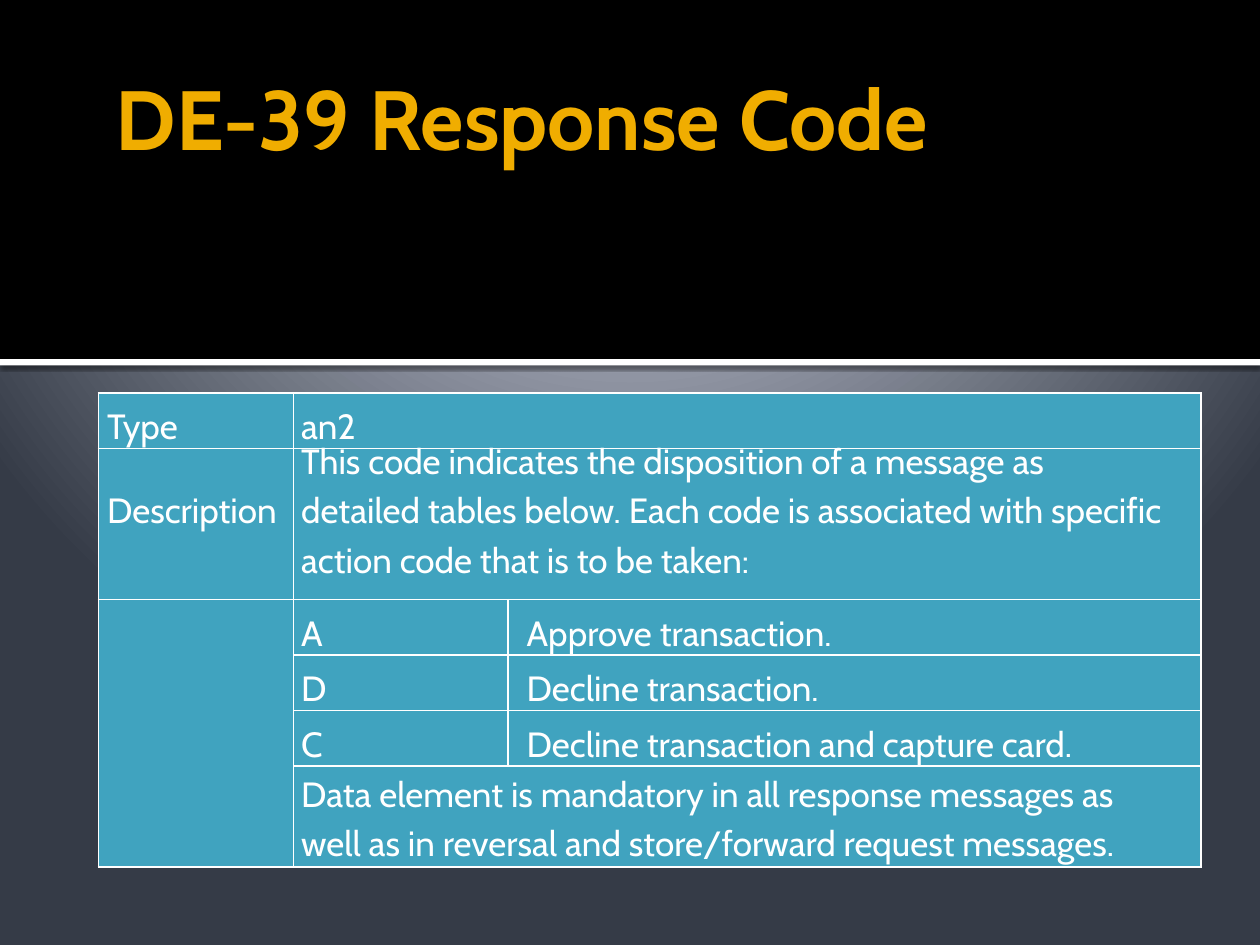
from dataclasses import dataclass

from lxml import etree
from pptx import Presentation
from pptx.dml.color import RGBColor
from pptx.enum.shapes import MSO_SHAPE
from pptx.enum.text import MSO_ANCHOR, PP_ALIGN
from pptx.oxml import parse_xml
from pptx.oxml.ns import nsdecls, qn
from pptx.util import Inches, Pt

RECTANGLE = MSO_SHAPE.RECTANGLE
BOTTOM, MIDDLE = MSO_ANCHOR.BOTTOM, MSO_ANCHOR.MIDDLE
LEFT = PP_ALIGN.LEFT
TITLE_ONLY = 5


@dataclass(frozen=True)
class Theme:
    font: str = "Cabin"
    title_size: int = 48
    body_size: int = 20
    title: str = "F0AD00"
    text: str = "FFFFFF"
    band: str = "000000"
    rule: str = "FFFFFF"
    cell: str = "40A3BF"
    border: str = "FFFFFF"
    border_width: float = 1
    glow: tuple = ((0, "C1C5D3"), (12, "C1C5D3"), (20, "BFC4D2"), (100, "353B47"))


class SlideBuilder:
    def __init__(self, slide, theme):
        self.slide = slide
        self.theme = theme

    def style(self, paragraph, size, color, bold=False):
        paragraph.alignment = LEFT
        font = paragraph.font
        font.name = self.theme.font
        font.size = Pt(size)
        font.bold = bold
        font.color.rgb = RGBColor.from_string(color)

    def background(self):
        """Fill the slide with a radial gradient centred above its top edge."""
        fill = self.slide.background.fill
        fill.gradient()
        gradient = self.slide.element.find(".//" + qn("a:gradFill"))
        stops = "".join(
            f'<a:gs pos="{position * 1000}"><a:srgbClr val="{color}"/></a:gs>'
            for position, color in self.theme.glow
        )
        radial = parse_xml(
            f'<a:gradFill {nsdecls("a")} rotWithShape="1"><a:gsLst>{stops}</a:gsLst>'
            '<a:path path="circle"><a:fillToRect l="10000" t="-25000" r="10000" b="125000"/>'
            "</a:path></a:gradFill>"
        )
        gradient.getparent().replace(gradient, radial)

    def band(self, top, height, color, shadow=False):
        band = self.slide.shapes.add_shape(
            RECTANGLE, 0, Inches(top), Inches(10), Inches(height)
        )
        band.fill.solid()
        band.fill.fore_color.rgb = RGBColor.from_string(color)
        band.line.fill.background()
        band.shadow.inherit = False
        if shadow:
            effects = band.element.spPr.find(qn("a:effectLst"))
            effects.append(parse_xml(
                f'<a:outerShdw {nsdecls("a")} blurRad="{Pt(2.5)}" dist="{Pt(0.8)}" '
                'dir="5400000" rotWithShape="0"><a:srgbClr val="000000">'
                '<a:alpha val="60000"/></a:srgbClr></a:outerShdw>'
            ))

    def title(self, text, left, top, width, height):
        title = self.slide.shapes.title
        title.left, title.top = Inches(left), Inches(top)
        title.width, title.height = Inches(width), Inches(height)
        frame = title.text_frame
        frame.text = text
        frame.word_wrap = True
        frame.vertical_anchor = BOTTOM
        frame.margin_left = frame.margin_right = Inches(0.1)
        frame.margin_top = frame.margin_bottom = 0
        self.style(frame.paragraphs[0], self.theme.title_size, self.theme.title, True)
        # The title has to sit in front of the bands.
        title.element.getparent().append(title.element)

    def table(self, left, top, columns, rows):
        table = self.slide.shapes.add_table(
            len(rows), len(columns), Inches(left), Inches(top),
            Inches(sum(columns)), Inches(sum(rows)),
        ).table
        for column, width in zip(table.columns, columns):
            column.width = Inches(width)
        for row, height in zip(table.rows, rows):
            row.height = Inches(height)
        for cell in table.iter_cells():
            self.paint(cell)
        return table

    def paint(self, cell):
        cell.margin_left = cell.margin_right = cell.margin_top = cell.margin_bottom = 0
        cell.fill.solid()
        cell.fill.fore_color.rgb = RGBColor.from_string(self.theme.cell)
        properties = cell._tc.get_or_add_tcPr()
        for index, side in enumerate(("lnL", "lnR", "lnT", "lnB")):
            border = etree.Element(qn(f"a:{side}"), w=str(Pt(self.theme.border_width)))
            solid = etree.SubElement(border, qn("a:solidFill"))
            etree.SubElement(solid, qn("a:srgbClr"), val=self.theme.border)
            properties.insert(index, border)

    def cell_text(self, cell, text, indent, anchor=BOTTOM, first_spacing=1.15):
        """Fill a cell; first_spacing is the line spacing of its first paragraph."""
        cell.text = text
        cell.vertical_anchor = anchor
        for index, paragraph in enumerate(cell.text_frame.paragraphs):
            properties = paragraph._p.get_or_add_pPr()
            properties.set("marL", str(Inches(indent)))
            properties.set("indent", "0")
            paragraph.line_spacing = 1.15 if index else first_spacing
            self.style(paragraph, self.theme.body_size, self.theme.text)


LABEL_INDENT, VALUE_INDENT, MEANING_INDENT = 0.07, 0.06, 0.15
TIGHT = Pt(9.9)
DESCRIPTION = (
    "This code indicates the disposition of a message as\n"
    "detailed tables below. Each code is associated with specific "
    "action code that is to be taken:"
)
USAGE = (
    "Data element is mandatory in all response messages as\n"
    "well as in reversal and store/forward request messages."
)
ACTIONS = (
    ("A", "Approve transaction."),
    ("D", "Decline transaction."),
    ("C", "Decline transaction and capture card."),
)


def main():
    presentation = Presentation()
    presentation.slide_width, presentation.slide_height = Inches(10), Inches(7.5)
    slide = presentation.slides.add_slide(presentation.slide_layouts[TITLE_ONLY])
    theme = Theme()
    builder = SlideBuilder(slide, theme)

    builder.background()
    builder.band(0, 2.85, theme.band)
    builder.band(2.85, 0.05, theme.rule, shadow=True)
    builder.title("DE-39 Response Code", 0.82, 0.13, 8.76, 1.2)

    line = 0.44
    table = builder.table(
        0.78, 3.12, (1.55, 1.7, 5.5), (line, 1.2, line, line, line, 0.8)
    )
    for row in (0, 1, 5):
        table.cell(row, 1).merge(table.cell(row, 2))
    table.cell(2, 0).merge(table.cell(5, 0))

    builder.cell_text(table.cell(0, 0), "Type", LABEL_INDENT)
    builder.cell_text(table.cell(0, 1), "an2", VALUE_INDENT)
    builder.cell_text(table.cell(1, 0), "Description", LABEL_INDENT, MIDDLE, TIGHT)
    builder.cell_text(table.cell(1, 1), DESCRIPTION, VALUE_INDENT, MIDDLE, TIGHT)
    for row, (code, meaning) in enumerate(ACTIONS, start=2):
        builder.cell_text(table.cell(row, 1), code, VALUE_INDENT)
        builder.cell_text(table.cell(row, 2), meaning, MEANING_INDENT)
    builder.cell_text(table.cell(5, 1), USAGE, VALUE_INDENT, MIDDLE)

    presentation.save("out.pptx")


if __name__ == "__main__":
    main()
